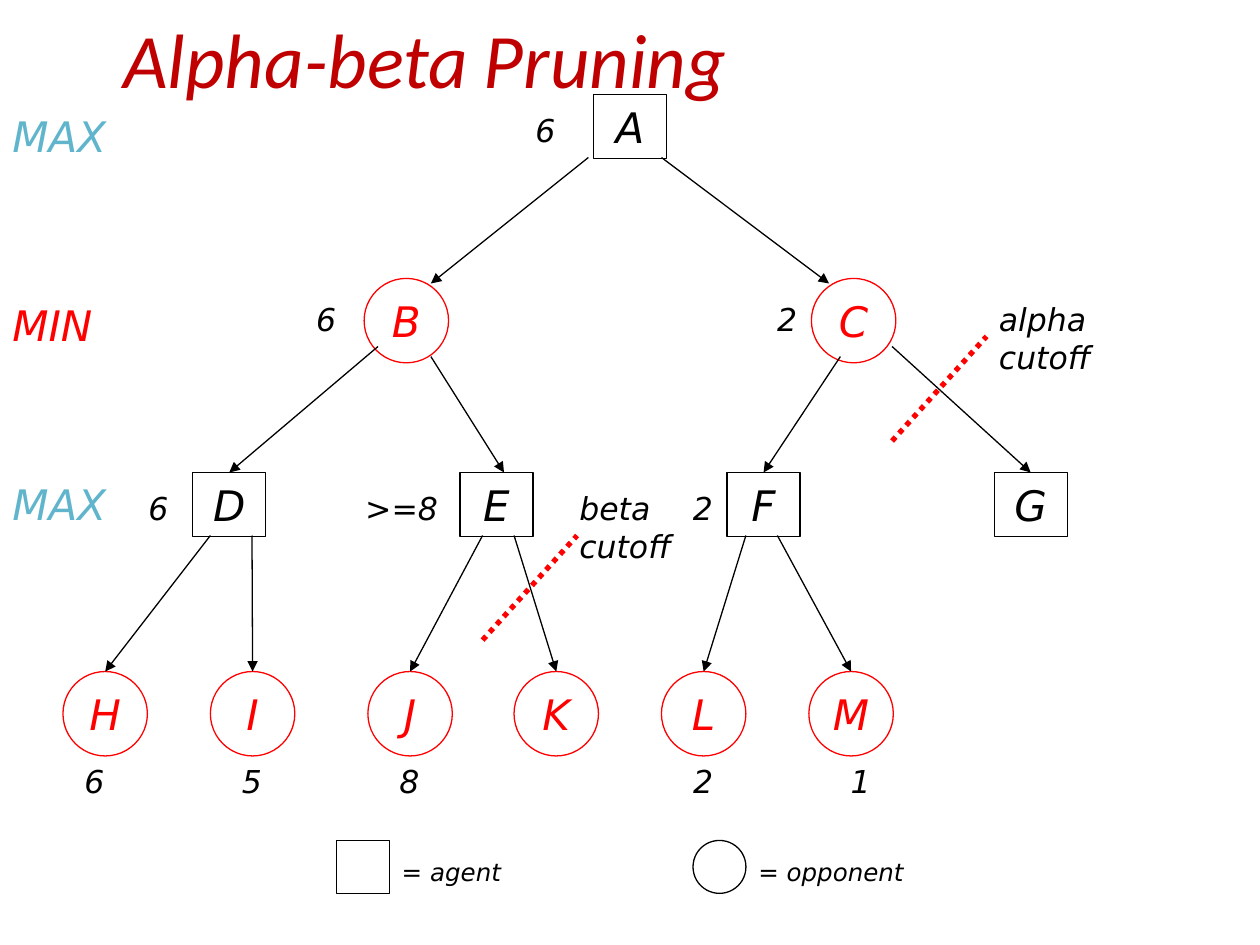
from lxml import etree
from pptx import Presentation
from pptx import util as u
from pptx.dml.color import RGBColor
from pptx.enum import dml, shapes, text
from pptx.oxml import ns

COLORS = {"ink": "000000", "min": "FF0000", "max": "60B5CC", "title": "C00000"}
FONT = "DejaVu Sans"
SQUARE = (shapes.MSO_SHAPE.RECTANGLE, 0.58, 0.51, "ink")
CIRCLE = (shapes.MSO_SHAPE.OVAL, 0.67, 0.67, "min")

# Each level: node outline, top, and the left edge of each node
LEVELS = [
    (SQUARE, 0, {"A": 4.21}),
    (CIRCLE, 1.46, {"B": 2.39, "C": 5.94}),
    (SQUARE, 3, {name: 1.03 + 2.12 * i for i, name in enumerate("DEFG")}),
    (CIRCLE, 4.58, {"H": 0, "I": 1.17, "J": 2.42, "K": 3.58, "L": 4.75, "M": 5.92}),
]
# Each branch: start, then the child's name (joined at its top) or a free end
BRANCHES = [
    ((4.17, 0.5), (2.92, 1.5)), ((4.75, 0.5), (6.08, 1.5)),
    ((2.5, 2), "D"), ((2.92, 2.08), (3.5, 3)),
    ((6.17, 2.08), "F"), ((6.58, 2), "G"),
    ((1.17, 3.5), "H"), ((1.5, 3.5), "I"),
    ((3.33, 3.5), "J"), ((3.58, 3.5), "K"),
    ((5.42, 3.5), "L"), ((5.67, 3.5), "M"),
]
INNER_VALUES = [
    ("6", 3.65, 0.08), ("6", 1.91, 1.58), ("2", 5.57, 1.58),
    ("6", 0.58, 3.08), (">=8", 2.3, 3.08), ("2", 4.9, 3.08),
]
LEAF_VALUES = [("6", -0.25), ("5", 1), ("8", 2.25), ("2", 4.58), ("1", 5.83)]


def rgb(color):
    return RGBColor.from_string(COLORS[color])


def write(frame, words, size=18, color="ink", font=FONT, align=text.PP_ALIGN.LEFT):
    """Append a run of italic text to the frame's paragraph."""
    paragraph = frame.paragraphs[0]
    paragraph.alignment = align
    run = paragraph.add_run()
    run.text = words
    run.font.size = u.Pt(size)
    run.font.name = font
    run.font.italic = True
    run.font.color.rgb = rgb(color)


def add_label(slide, words, left, top, width, height, **style):
    box = slide.shapes.add_textbox(*map(u.Inches, (left, top, width, height)))
    box.text_frame.word_wrap = True
    if words:
        write(box.text_frame, words, **style)
    return box.text_frame


def add_outline(slide, preset, left, top, width, height, color):
    outline = slide.shapes.add_shape(preset, *map(u.Inches, (left, top, width, height)))
    outline.shadow.inherit = False
    outline.fill.background()
    outline.line.color.rgb = rgb(color)
    outline.line.width = u.Pt(0.75)
    return outline


def add_node(slide, name, left, top, outline):
    preset, width, height, color = outline
    node = add_outline(slide, preset, left, top, width, height, color)
    frame = node.text_frame
    frame.margin_left = frame.margin_right = frame.margin_top = frame.margin_bottom = 0
    frame.word_wrap = False
    frame.vertical_anchor = text.MSO_ANCHOR.MIDDLE
    write(frame, name, size=24, color=color, align=text.PP_ALIGN.CENTER)
    return node


def add_line(slide, start, end, color="ink", width=0.75):
    line = slide.shapes.add_connector(
        shapes.MSO_CONNECTOR.STRAIGHT, *map(u.Inches, (*start, *end)))
    line.line.color.rgb = rgb(color)
    line.line.width = u.Pt(width)
    etree.SubElement(line._element.spPr, ns.qn("a:effectLst"))
    return line


def add_branch(slide, start, end, child=None):
    branch = add_line(slide, start, end)
    if child is not None:
        branch.end_connect(child, 0)
    etree.SubElement(branch.line._get_or_add_ln(), ns.qn("a:tailEnd"), type="triangle")


def draw_title(slide, left, top):
    frame = add_label(slide, "", left, top, 8.04, 0.84)
    write(frame, "Alpha-beta", size=44, color="title", font="Calibri")
    write(frame, " ", size=28, color="title")
    write(frame, "Pruning", size=44, color="title", font="Calibri")


def draw_level_names(slide, left, top):
    for words, drop, color in [("MAX", 0, "max"), ("MIN", 1.5, "min"), ("MAX", 2.92, "max")]:
        add_label(slide, words, left, top + drop, 1.08, 0.5, size=24, color=color)


def draw_tree(slide, left, top):
    nodes = {}
    for outline, drop, row in LEVELS:
        for name, x in row.items():
            nodes[name] = add_node(slide, name, left + x, top + drop, outline)
    for (x, y), target in BRANCHES:
        start = (left + x, top + y)
        if isinstance(target, str):
            add_branch(slide, start, start, nodes[target])
        else:
            add_branch(slide, start, (left + target[0], top + target[1]))
    for words, x, y in INNER_VALUES:
        add_label(slide, words, left + x, top + y, 0.85, 0.4)
    for words, x in LEAF_VALUES:
        add_label(slide, words, left + x, top + 5.25, 1, 0.4, align=text.PP_ALIGN.CENTER)


def draw_cutoff(slide, words, left, top, label_left, label_top):
    """Dotted stroke across a branch, with its label to the right."""
    stroke = add_line(slide, (left, top + 0.83), (left + 0.75, top), "min", 3)
    stroke.line.dash_style = dml.MSO_LINE.ROUND_DOT
    add_label(slide, words, label_left, label_top, 1.08, 0.7)


def draw_legend(slide, left, top):
    for i, (preset, words) in enumerate([(SQUARE[0], "= agent"), (CIRCLE[0], "= opponent")]):
        x = left + 2.83 * i
        add_outline(slide, preset, x, top, 0.42, 0.42, "ink")
        add_label(slide, words, x + 0.42, top + 0.08, 1.83, 0.33, size=14)


def main():
    deck = Presentation()
    deck.slide_width, deck.slide_height = u.Inches(10), u.Inches(7.5)
    slide = deck.slides.add_slide(deck.slide_layouts[6])
    draw_level_names(slide, 0, 0.83)
    draw_tree(slide, 0.5, 0.75)
    draw_cutoff(slide, "beta cutoff", 3.83, 4.25, 4.5, 3.83)
    draw_cutoff(slide, "alpha cutoff", 7.08, 2.67, 7.83, 2.33)
    draw_legend(slide, 2.67, 6.67)
    draw_title(slide, 0.88, 0.04)
    deck.save("out.pptx")


if __name__ == "__main__":
    main()
